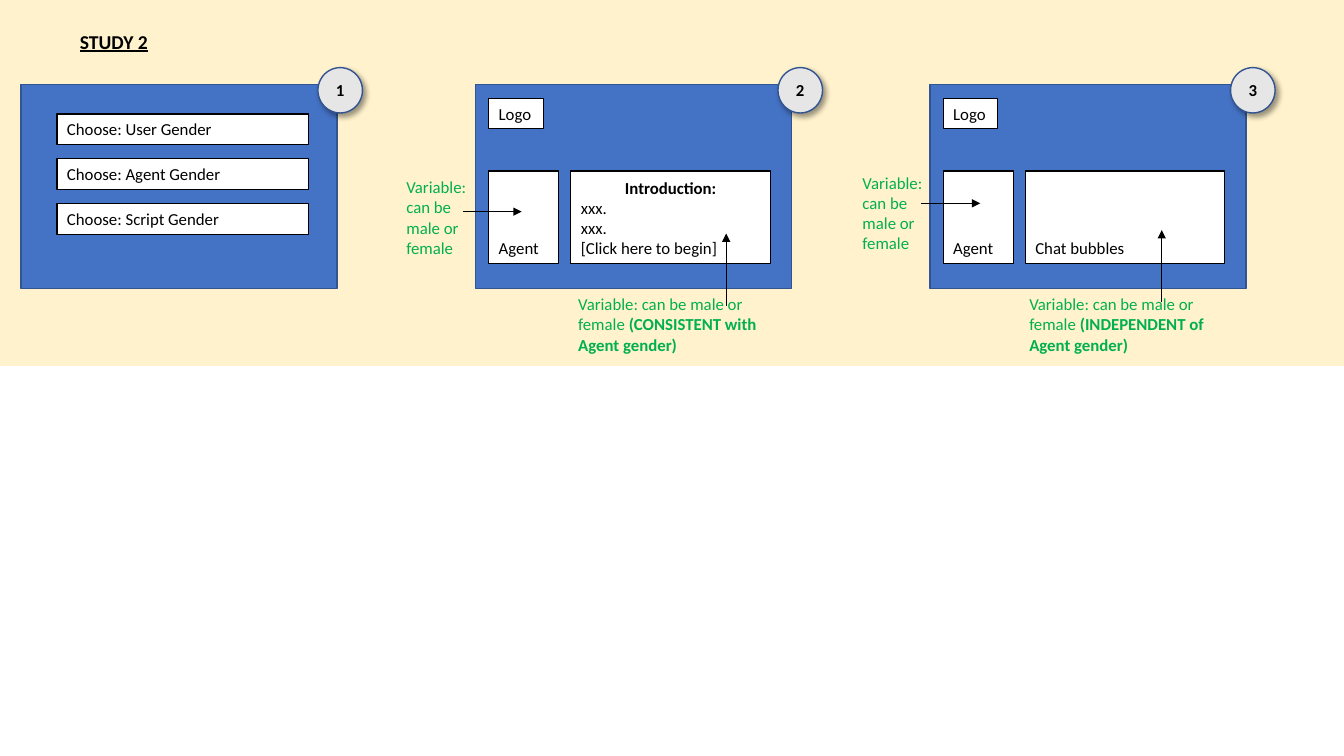
from lxml.etree import SubElement
from pptx import Presentation
from pptx.dml.color import RGBColor
from pptx.enum.shapes import MSO_CONNECTOR, MSO_SHAPE
from pptx.enum.text import MSO_ANCHOR, MSO_AUTO_SIZE, PP_ALIGN
from pptx.oxml.ns import qn
from pptx.util import Inches, Pt

COLUMNS, ROWS = 160, 90
SCREEN_LEFT, SCREEN_STEP, SCREEN_TOP = 2.52, 54.1, 10.08
LINE_HEIGHT = 3.63
BLACK, WHITE, BLUE, NAVY = "000000", "FFFFFF", "4472C4", "325491"
CREAM, GREY, GREEN = "FFF2CC", "E7E6E6", "00B050"


def color(value):
    return RGBColor.from_string(value)


class StudySlide:
    """Draws on one slide, with lengths in grid columns and rows."""

    font_name, font_size = "Calibri", 12

    def __init__(self, deck):
        self.column = deck.slide_width / COLUMNS
        self.row = deck.slide_height / ROWS
        self.slide = deck.slides.add_slide(deck.slide_layouts[5])
        self.shapes = self.slide.shapes

    def place(self, left, top, width, height):
        return (round(left * self.column), round(top * self.row),
                round(width * self.column), round(height * self.row))

    def set_text(self, shape, paragraphs, ink=BLACK, align=PP_ALIGN.LEFT,
                 anchor=MSO_ANCHOR.TOP):
        """Fill the shape with paragraphs, each a list of (text, font values) runs.

        The alignment goes to the first paragraph; the others are left-aligned.
        """
        frame = shape.text_frame
        settings = {"word_wrap": True, "auto_size": MSO_AUTO_SIZE.NONE,
                    "vertical_anchor": anchor,
                    "margin_left": Inches(0.1), "margin_right": Inches(0.1),
                    "margin_top": Inches(0.05), "margin_bottom": Inches(0.05)}
        for name, value in settings.items():
            setattr(frame, name, value)
        for index, runs in enumerate(paragraphs):
            paragraph = frame.add_paragraph() if index else frame.paragraphs[0]
            paragraph.alignment = PP_ALIGN.LEFT if index else align
            paragraph.line_spacing = 1.0
            for text, values in runs:
                run = paragraph.add_run()
                run.text = text
                font_values = {"name": self.font_name, "size": Pt(self.font_size),
                               "bold": False} | values
                for name, value in font_values.items():
                    setattr(run.font, name, value)
                run.font.color.rgb = color(ink)

    def title(self, text, *area):
        heading = self.shapes.title
        heading.left, heading.top, heading.width, heading.height = self.place(*area)
        self.set_text(heading, [[(text, {"size": Pt(14), "bold": True, "underline": True})]])

    def block(self, area, fill, line=None, line_width=1, kind=MSO_SHAPE.RECTANGLE):
        shape = self.shapes.add_shape(kind, *self.place(*area))
        shape.shadow.inherit = False
        shape.fill.solid()
        shape.fill.fore_color.rgb = color(fill)
        if line:
            shape.line.color.rgb = color(line)
            shape.line.width = Pt(line_width)
        else:
            shape.line.fill.background()
        return shape

    def band(self, height):
        """Add a full-width band behind everything, the title included."""
        band = self.block((0, 0, COLUMNS, height), CREAM)
        self.shapes.title._element.addprevious(band._element)

    def screen(self, left):
        self.block((left, SCREEN_TOP, 37.6, 24.3), BLUE, NAVY)

    def box(self, area, paragraphs, **layout):
        self.set_text(self.block(area, WHITE, BLACK, 0.75), paragraphs, **layout)

    def note(self, area, *runs):
        self.set_text(self.shapes.add_textbox(*self.place(*area)), [runs], ink=GREEN)

    def badge(self, number, left):
        badge = self.block((left, 8.05, 5.3, 5.4), GREY, NAVY, kind=MSO_SHAPE.OVAL)
        effects = badge._element.spPr.find(qn("a:effectLst"))
        shadow = SubElement(effects, qn("a:outerShdw"), blurRad=str(Pt(4)),
                            dist=str(Pt(3)), dir="2700000", algn="tl", rotWithShape="0")
        ink = SubElement(shadow, qn("a:srgbClr"), val=BLACK)
        SubElement(ink, qn("a:alpha"), val="40000")
        self.set_text(badge, [[(str(number), {"bold": True})]],
                      align=PP_ALIGN.CENTER, anchor=MSO_ANCHOR.MIDDLE)

    def arrow(self, left, top, across=0, down=0):
        start = self.place(left, top, 0, 0)[:2]
        end = self.place(left + across, top + down, 0, 0)[:2]
        arrow = self.shapes.add_connector(MSO_CONNECTOR.STRAIGHT, *start, *end)
        arrow.line.color.rgb = color(BLACK)
        arrow.line.width = Pt(0.5)
        properties = arrow._element.spPr
        SubElement(properties.find(qn("a:ln")), qn("a:tailEnd"), type="triangle")
        SubElement(properties, qn("a:effectLst"))


def main():
    deck = Presentation()
    deck.slide_width, deck.slide_height = Inches(13.33), Inches(7.5)
    study = StudySlide(deck)
    study.band(43.56)
    study.title("STUDY 2", 8.3, 2.9, 24.5, 4.1)

    screens = [SCREEN_LEFT + SCREEN_STEP * index for index in range(3)]
    for left in screens:
        study.screen(left)

    for index, choice in enumerate(("User", "Agent", "Script")):
        study.box((screens[0] + 4.27, 13.58 + 5.33 * index, 30, LINE_HEIGHT),
                  [[(f"Choose: {choice} Gender", {})]])

    introduction = [[("Introduction:", {"bold": True})], [("xxx.", {})],
                    [("xxx.", {})], [("[Click here to begin]", {})]]
    chat = [[("Chat bubbles", {})]]
    dialogues = ((introduction, PP_ALIGN.CENTER), (chat, PP_ALIGN.LEFT))
    for left, (dialogue, align) in zip(screens[1:], dialogues):
        study.box((left + 1.57, 11.7, 6.48, LINE_HEIGHT), [[("Logo", {})]])
        study.box((left + 1.57, 20.36, 8.33, 10.98), [[("Agent", {})]],
                  anchor=MSO_ANCHOR.BOTTOM)
        study.box((left + 11.35, 20.36, 23.76, 10.98), dialogue,
                  align=align, anchor=MSO_ANCHOR.BOTTOM)

    for left, top in ((47.2, 20.48), (101.5, 19.95)):
        study.note((left, top, 10.3, 10.9), ("Variable: can be male or female", {}))
    for left, relation in ((67.65, "CONSISTENT with"), (121.35, "INDEPENDENT of")):
        study.note((left, 34.4, 24, 8.5), ("Variable: can be male or female ", {}),
                   (f"({relation} Agent gender)", {"bold": True}))

    for left, top in ((55.1, 25.2), (109.7, 24.2)):
        study.arrow(left, top, across=7)
    for left, top in ((86.45, 36.4), (138.3, 36)):
        study.arrow(left, top, down=-8.6)

    for number, left in enumerate((37.85, 92.62, 146.5), start=1):
        study.badge(number, left)

    deck.save("out.pptx")


if __name__ == "__main__":
    main()
